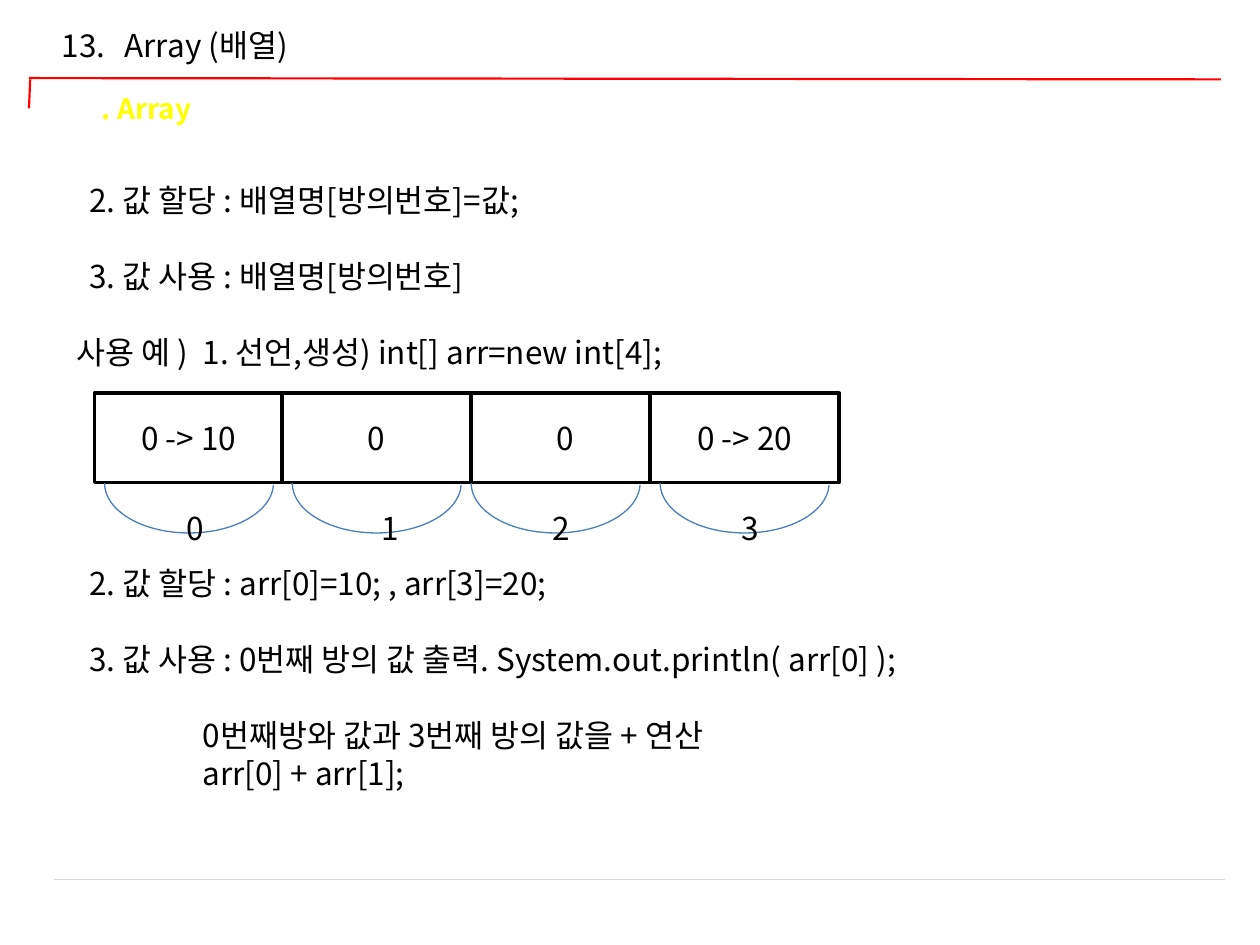
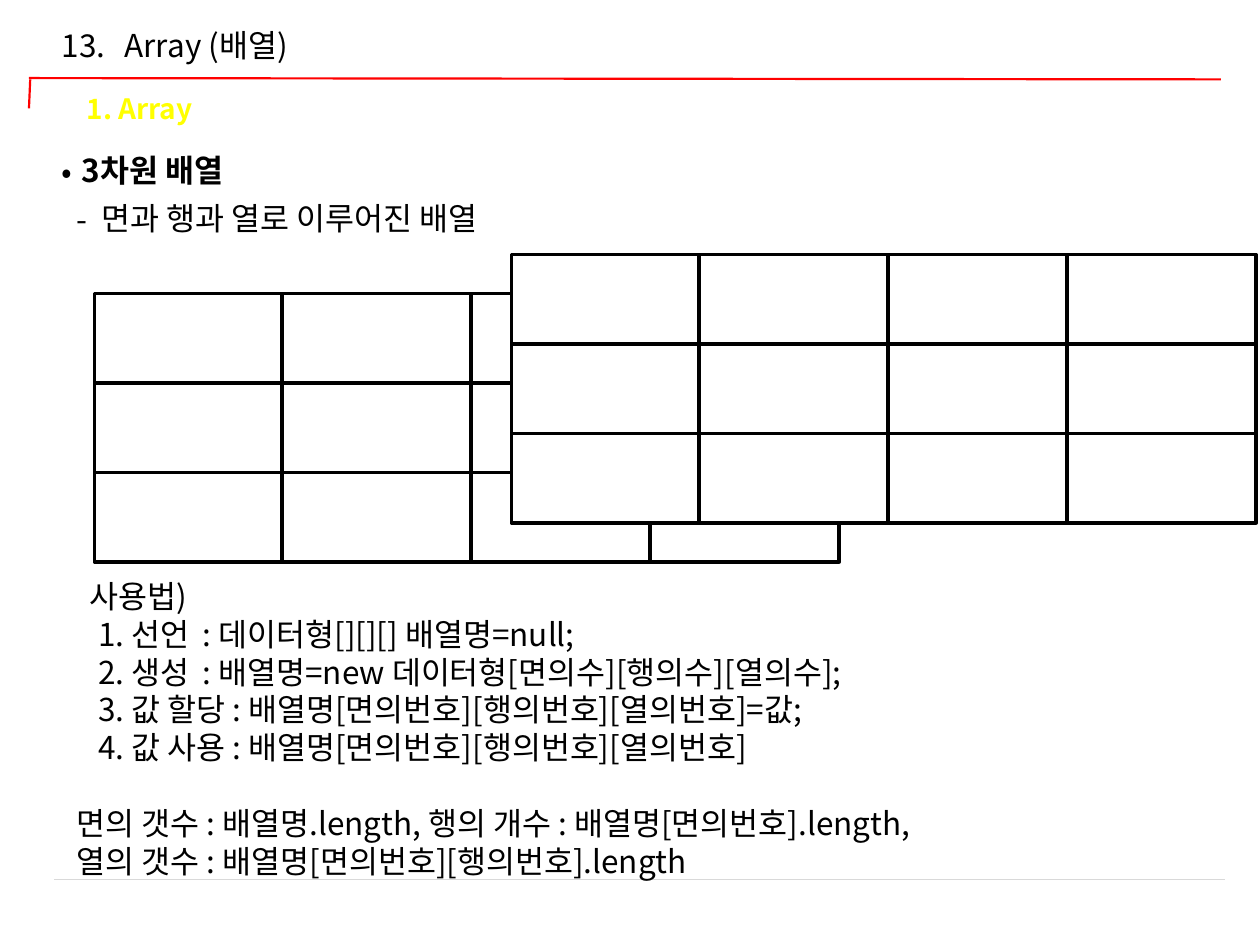
from pptx import Presentation
from pptx.dml.color import RGBColor
from pptx.enum.shapes import MSO_CONNECTOR, MSO_SHAPE
from pptx.enum.text import MSO_ANCHOR, MSO_AUTO_SIZE, PP_ALIGN
from pptx.oxml.ns import qn
from pptx.util import Inches, Pt
from lxml.etree import SubElement

COLORS = {
    "text": "000000",
    "paper": "FFFFFF",
    "rule": "FF0000",
    "heading": "FFFF00",
    "footer": "D9D9D9",
    "arc": "4B7EBC",
}
FONT = "Noto Sans CJK KR"
LINE_GAP = 21.7
CELL_W, CELL_H = 1.5, 0.71
COLUMNS = (0, 1.49, 2.99, 4.41)
BODY_X, BODY_W = 0.51, 9.29


def rgb(name):
    return RGBColor.from_string(COLORS[name])


def para(text, indent=0, tab=None, gap=False, bullet=None):
    return {"text": text, "indent": indent, "tab": tab, "gap": gap, "bullet": bullet}


class Deck:
    def __init__(self):
        self.prs = Presentation()
        self.prs.slide_width = Inches(10)
        self.prs.slide_height = Inches(7.5)
        self.s = None

    def slide(self, heading):
        self.s = self.prs.slides.add_slide(self.prs.slide_layouts[6])
        self.line(0.23, 0.62, 9.69, 0.63, "rule", 1.25)
        self.text(0.39, 0.16, 5.08, 0.4, [para("13.\tArray (배열)", tab=0.46)])
        self.line(0.24, 0.63, 0.23, 0.86, "rule", 1.25)
        self.text(0.59, 0.68, 5.75, 0.37, [heading], 16, "heading", True)
        self.line(0.43, 6.98, 9.72, 6.98, "footer", 0.75)

    def line(self, x1, y1, x2, y2, color, width):
        sp = self.s.shapes.add_connector(
            MSO_CONNECTOR.STRAIGHT, Inches(x1), Inches(y1), Inches(x2), Inches(y2))
        sp.line.color.rgb = rgb(color)
        sp.line.width = Pt(width)
        SubElement(sp._element.spPr, qn("a:effectLst"))

    def run(self, p, text, size=18, color="text", bold=False):
        r = p.add_run()
        r.text = text
        r.font.size = Pt(size)
        r.font.name = FONT
        r.font.bold = bold
        r.font.color.rgb = rgb(color)
        SubElement(r.font._element, qn("a:ea"), typeface=FONT)

    def text(self, x, y, w, h, paras, size=18, color="text", bold=False, wrap=True):
        sp = self.s.shapes.add_textbox(Inches(x), Inches(y), Inches(w), Inches(h))
        tf = sp.text_frame
        tf.word_wrap = wrap
        tf.auto_size = MSO_AUTO_SIZE.SHAPE_TO_FIT_TEXT
        for i, item in enumerate(paras):
            p = tf.paragraphs[0] if i == 0 else tf.add_paragraph()
            if item["gap"]:
                p.space_before = Pt(LINE_GAP)
            self.layout(p, item)
            self.run(p, item["text"], size, color, bold)

    def layout(self, p, item):
        pPr = p._p.get_or_add_pPr()
        indent = Inches(item["indent"])
        if item["bullet"]:
            pPr.set("marL", str(indent))
            pPr.set("indent", str(-indent))
            SubElement(pPr, qn("a:buFont"), typeface=FONT)
            SubElement(pPr, qn("a:buChar"), char=item["bullet"])
        else:
            pPr.set("marL", "0")
            pPr.set("indent", str(indent))
        if item["tab"]:
            tabs = SubElement(pPr, qn("a:tabLst"))
            SubElement(tabs, qn("a:tab"), pos=str(Inches(item["tab"])), algn="l")

    def shape(self, kind, x, y, w, h, line, width):
        sp = self.s.shapes.add_shape(kind, Inches(x), Inches(y), Inches(w), Inches(h))
        sp.shadow.inherit = False
        sp.line.color.rgb = rgb(line)
        sp.line.width = Pt(width)
        return sp

    def cell(self, x, y, value=""):
        sp = self.shape(MSO_SHAPE.RECTANGLE, x, y, CELL_W, CELL_H, "text", 2)
        sp.fill.solid()
        sp.fill.fore_color.rgb = rgb("paper")
        if value:
            tf = sp.text_frame
            tf.vertical_anchor = MSO_ANCHOR.MIDDLE
            p = tf.paragraphs[0]
            p.alignment = PP_ALIGN.CENTER
            self.run(p, value)

    def grid(self, x, y, rows):
        for i, row in enumerate(rows):
            for dx, value in zip(COLUMNS, row):
                self.cell(x + dx, y + i * CELL_H, value)

    def arc(self, x, y):
        sp = self.shape(MSO_SHAPE.ARC, x, y, 1.34, 0.79, "arc", 0.75)
        sp.fill.background()
        sp.rotation = 180
        sp.adjustments[0] = 108.79
        sp.adjustments[1] = 0


def array_usage(deck):
    deck.slide(para(". Array", 0.12))
    deck.text(BODY_X, 1.39, BODY_W, 1.92, [
        para("2. 값 할당 : 배열명[방의번호]=값;", 0.1),
        para("3. 값 사용 : 배열명[방의번호]", 0.1, gap=True),
        para("사용 예 )\t1. 선언,생성) int[] arr=new int[4];", tab=1.08, gap=True),
    ])
    deck.grid(0.75, 3.12, [("0 -> 10", "0", "0", "0 -> 20")])
    for x in (0.83, 2.32, 3.74, 5.24):
        deck.arc(x, 3.44)
    for index, x in enumerate((1.38, 2.93, 4.29, 5.79)):
        deck.text(x, 3.99, 0.34, 0.4, [para(str(index))], wrap=False)
    deck.text(BODY_X, 4.43, BODY_W, 2.22, [
        para("2. 값 할당 : arr[0]=10; , arr[3]=20;", 0.1),
        para("3. 값 사용 : 0번째 방의 값 출력. System.out.println( arr[0] );", 0.1, gap=True),
        para("0번째방와 값과 3번째 방의 값을 + 연산", 1, gap=True),
        para("arr[0] + arr[1];", 1),
    ])


def three_dimensions(deck):
    deck.slide(para("1. Array"))
    deck.text(BODY_X, 1.53, BODY_W, 0.4,
              [para("면과 행과 열로 이루어진 배열", 0.2, bullet="-")])
    deck.text(BODY_X, 4.53, BODY_W, 2.52, [
        para("사용법)", 0.1),
        para("1. 선언\t: 데이터형[][][] 배열명=null;", 0.17, 1.35),
        para("2. 생성\t: 배열명=new 데이터형[면의수][행의수][열의수];", 0.17, 1.35),
        para("3. 값 할당 : 배열명[면의번호][행의번호][열의번호]=값;", 0.17),
        para("4. 값 사용 : 배열명[면의번호][행의번호][열의번호]", 0.17),
        para("면의 갯수 : 배열명.length, 행의 개수 : 배열명[면의번호].length,", gap=True),
        para("열의 갯수 : 배열명[면의번호][행의번호].length"),
    ])
    deck.text(0.39, 1.15, 8.86, 0.4, [para("3차원 배열", 0.16, bullet="•")], bold=True)
    empty_rows = [[""] * len(COLUMNS)] * 3
    for x, y in ((0.75, 2.33), (4.06, 2.02)):
        deck.grid(x, y, empty_rows)


def main():
    deck = Deck()
    array_usage(deck)
    three_dimensions(deck)
    deck.prs.save("out.pptx")


if __name__ == "__main__":
    main()
